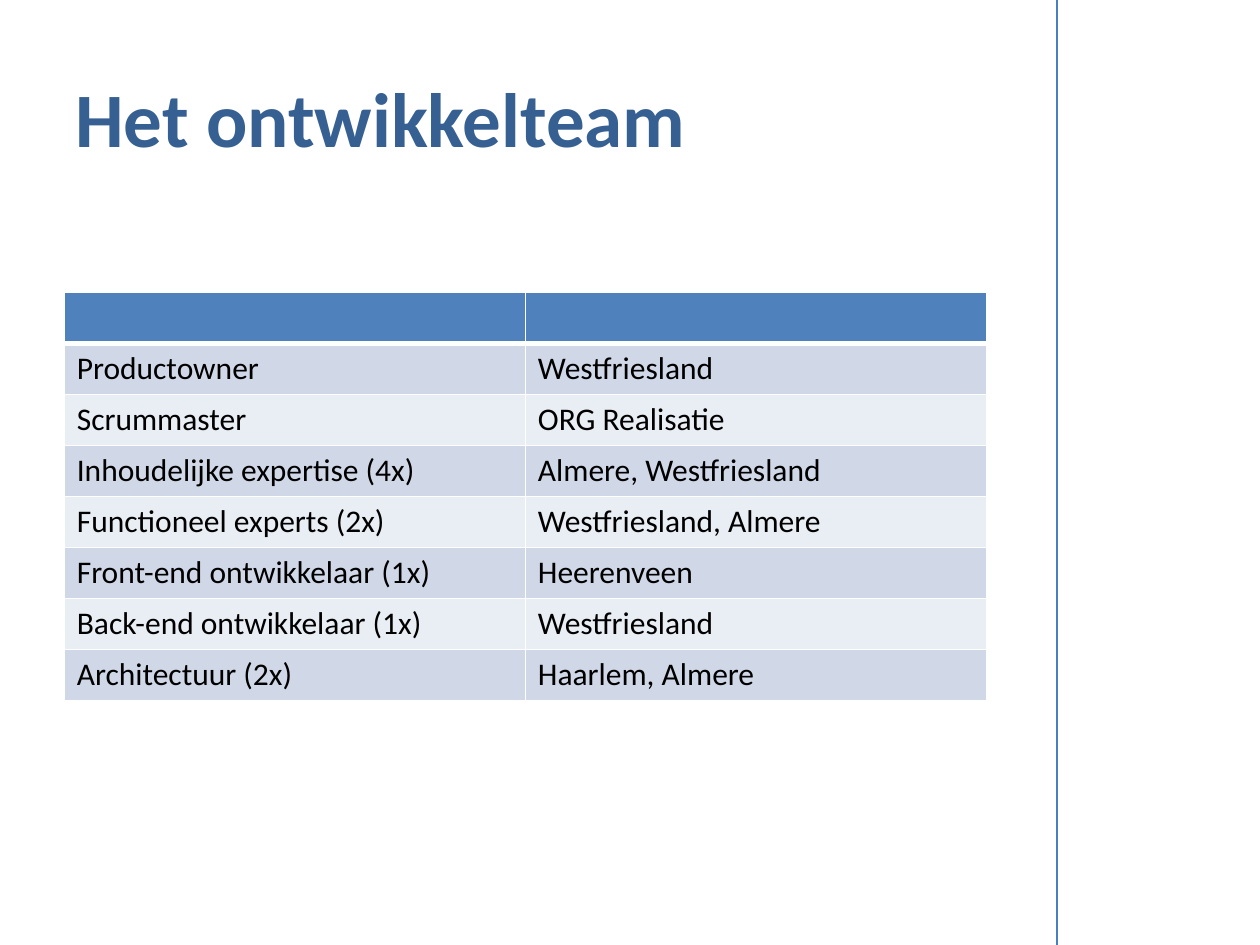
import pptx
import pptx.dml.color
import pptx.enum.shapes
import pptx.enum.text
import pptx.oxml.ns
import pptx.util
from lxml import etree
from pptx.util import Inches

TITLE = "Het ontwikkelteam"
ROWS = [
    ("", ""),
    ("Productowner", "Westfriesland"),
    ("Scrummaster", "ORG Realisatie"),
    ("Inhoudelijke expertise (4x)", "Almere, Westfriesland"),
    ("Functioneel experts (2x)", "Westfriesland, Almere"),
    ("Front-end ontwikkelaar (1x)", "Heerenveen"),
    ("Back-end ontwikkelaar (1x)", "Westfriesland"),
    ("Architectuur (2x)", "Haarlem, Almere"),
]
HEADER_FILL = "4F81BD"
BAND_FILLS = ("E9EDF4", "D0D8E8")
FONT = "Calibri"


def color(value):
    return pptx.dml.color.RGBColor.from_string(value)


def set_font(paragraph, size, value, bold=False):
    paragraph.font.name = FONT
    paragraph.font.size = pptx.util.Pt(size)
    paragraph.font.color.rgb = color(value)
    paragraph.font.bold = bold


def add_divider(slide):
    line = slide.shapes.add_connector(
        pptx.enum.shapes.MSO_CONNECTOR.STRAIGHT,
        Inches(8.39), Inches(-0.11), Inches(8.39), Inches(7.69))
    line.line.color.rgb = color("4B7EBC")
    line.line.width = pptx.util.Pt(0.75)
    etree.SubElement(line._element.spPr, pptx.oxml.ns.qn("a:effectLst"))


def add_title(slide):
    box = slide.shapes.add_textbox(Inches(0.5), Inches(0.3), Inches(9), Inches(1.25))
    frame = box.text_frame
    frame.word_wrap = True
    frame.vertical_anchor = pptx.enum.text.MSO_ANCHOR.MIDDLE
    frame.text = TITLE
    set_font(frame.paragraphs[0], 44, "376092", bold=True)


def set_borders(cell, widths):
    properties = cell._tc.get_or_add_tcPr()
    for side, width in widths.items():
        border = etree.SubElement(properties, pptx.oxml.ns.qn(f"a:ln{side}"),
                                  w=str(pptx.util.Pt(width)))
        fill = etree.SubElement(border, pptx.oxml.ns.qn("a:solidFill"))
        etree.SubElement(fill, pptx.oxml.ns.qn("a:srgbClr"), val="FFFFFF")


def add_team_table(slide):
    table = slide.shapes.add_table(len(ROWS), len(ROWS[0]), Inches(0.51), Inches(2.32),
                                   Inches(7.32), Inches(3.24)).table
    for row, texts in enumerate(ROWS):
        for column, text in enumerate(texts):
            cell = table.cell(row, column)
            set_borders(cell, {"L": 1, "R": 1, "T": 3 if row == 1 else 1,
                               "B": 3 if row == 0 else 1})
            cell.fill.solid()
            cell.fill.fore_color.rgb = color(BAND_FILLS[row % 2] if row else HEADER_FILL)
            cell.text = text
            set_font(cell.text_frame.paragraphs[0], 18, "000000")


def main():
    presentation = pptx.Presentation()
    presentation.slide_width = Inches(10)
    presentation.slide_height = Inches(7.5)
    slide = presentation.slides.add_slide(presentation.slide_layouts[6])
    add_divider(slide)
    add_title(slide)
    add_team_table(slide)
    presentation.save("out.pptx")


if __name__ == "__main__":
    main()
